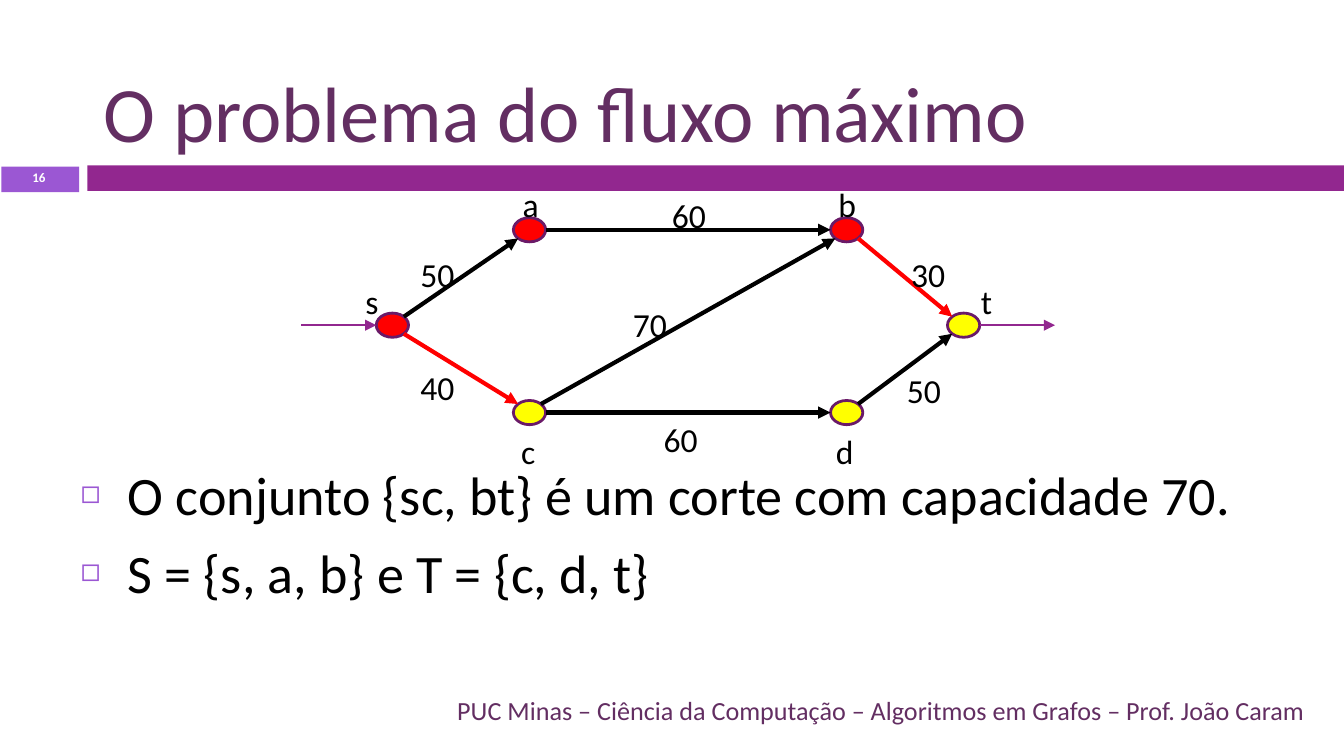
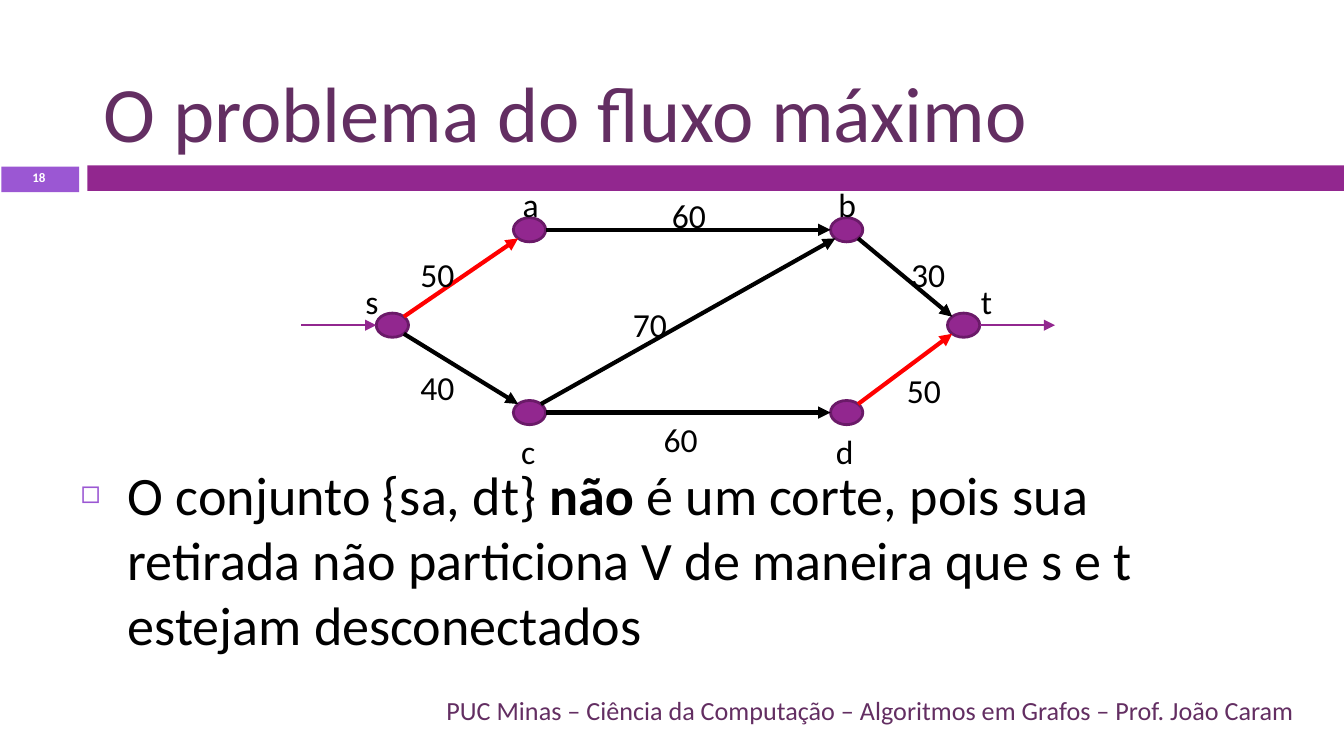
from math import atan2, cos, pi, sin

from lxml import etree
from pptx import Presentation
from pptx.dml.color import RGBColor
from pptx.enum.shapes import MSO_CONNECTOR as Connector, MSO_SHAPE as Shape
from pptx.enum.text import MSO_ANCHOR as Anchor, MSO_AUTO_SIZE as AutoSize, PP_ALIGN as Align
from pptx.oxml.ns import qn
from pptx.util import Inches, Pt

FONT = "Calibri"
BLACK, WHITE, RED, YELLOW = "000000", "FFFFFF", "FF0000", "FFFF00"
PURPLE, DARK_PURPLE, LILAC, NODE_EDGE = "92278F", "632E62", "9B57D3", "6A1A68"

TITLE = "O problema do fluxo máximo"
FOOTER = "PUC Minas – Ciência da Computação – Algoritmos em Grafos – Prof. João Caram"

NODE_W, NODE_H = 0.24, 0.18
LABEL_H = 0.4
ARROW_LENGTH = 0.56

# Vertex: centre, then left, top and width of its label
VERTICES = {
    "a": ((3.94, 1.71), (3.79, 1.32, 0.34)),
    "s": ((2.92, 2.42), (2.62, 2.04, 0.32)),
    "c": ((3.94, 3.07), (3.78, 3.16, 0.32)),
    "b": ((6.3, 1.71), (6.14, 1.32, 0.35)),
    "d": ((6.3, 3.07), (6.12, 3.16, 0.35)),
    "t": ((7.17, 2.42), (7.2, 2.04, 0.29)),
}
# Edge: capacity, then left, top and width of its label
EDGES = {
    "sa": ("50", (3.03, 1.84, 0.48)),
    "ab": ("60", (4.9, 1.4, 0.48)),
    "bt": ("30", (6.68, 1.84, 0.48)),
    "cb": ("70", (4.61, 2.21, 0.48)),
    "sc": ("40", (3.03, 2.68, 0.48)),
    "cd": ("60", (4.84, 3.07, 0.48)),
    "dt": ("50", (6.65, 2.7, 0.48)),
}


def rgb(value):
    return RGBColor.from_string(value)


def inches(*lengths):
    return [Inches(length) for length in lengths]


def edge_ends(start, end):
    """Return the facing rim points of two vertices, each at a multiple of 45 degrees."""
    (x1, y1), (x2, y2) = start, end
    angle = round(atan2(y2 - y1, x2 - x1) / (pi / 4)) * pi / 4
    dx, dy = NODE_W / 2 * cos(angle), NODE_H / 2 * sin(angle)
    return (x1 + dx, y1 + dy), (x2 - dx, y2 - dy)


class Deck:
    def __init__(self):
        self.prs = Presentation()
        self.prs.slide_width = Inches(10)
        self.prs.slide_height = Inches(10 * 9 / 16)
        self.slide = None

    def new_slide(self, number, footer_width):
        self.slide = self.prs.slides.add_slide(self.prs.slide_layouts[1])
        self.shape(Shape.RECTANGLE, (0.01, 1.24, 0.58, 0.19), LILAC)
        self.shape(Shape.RECTANGLE, (0.65, 1.23, 9.35, 0.19), PURPLE)
        self.title()
        self.text(FOOTER, (0.67, 5.13, footer_width, 0.3), 14, DARK_PURPLE, Align.RIGHT)
        page = self.text(number, (0, 1.23, 0.58, 0.2), 7, WHITE, Align.CENTER, bold=True)
        page.line_spacing = 0.7

    def run(self, paragraph, text, size, color, bold=False):
        run = paragraph.add_run()
        run.text = text
        font = run.font
        font.name, font.size, font.bold = FONT, Pt(size), bold
        font.color.rgb = rgb(color)

    def placeholder(self, holder, box, anchor):
        holder.left, holder.top, holder.width, holder.height = inches(*box)
        frame = holder.text_frame
        frame.auto_size, frame.vertical_anchor = AutoSize.NONE, anchor
        return frame

    def title(self):
        frame = self.placeholder(self.slide.shapes.title, (0.67, 0.13, 8.92, 1.1),
                                 Anchor.BOTTOM)
        paragraph = frame.paragraphs[0]
        paragraph.alignment = Align.LEFT
        self.run(paragraph, TITLE, 42, DARK_PURPLE)

    def bullets(self, items):
        """Fill the body; each item is a list of (text, bold) runs."""
        frame = self.placeholder(self.slide.placeholders[1], (0.5, 3.38, 9, 1.64),
                                 Anchor.TOP)
        for index, item in enumerate(items):
            paragraph = frame.add_paragraph() if index else frame.paragraphs[0]
            paragraph.space_before = Pt(7 if index else 0)
            props = paragraph._p.get_or_add_pPr()
            props.set("marL", str(Inches(0.35)))
            props.set("indent", str(-Inches(0.35)))
            color = etree.SubElement(props, qn("a:buClr"))
            etree.SubElement(color, qn("a:srgbClr"), val=LILAC)
            etree.SubElement(props, qn("a:buSzPct"), val="60000")
            etree.SubElement(props, qn("a:buChar"), char="◻")
            for text, bold in item:
                self.run(paragraph, text, 29, BLACK, bold)

    def text(self, text, box, size, color, align=Align.LEFT, bold=False):
        frame = self.slide.shapes.add_textbox(*inches(*box)).text_frame
        frame.word_wrap, frame.vertical_anchor = True, Anchor.MIDDLE
        paragraph = frame.paragraphs[0]
        paragraph.alignment = align
        self.run(paragraph, text, size, color, bold)
        return paragraph

    def label(self, text, place):
        frame = self.slide.shapes.add_textbox(*inches(*place, LABEL_H)).text_frame
        frame.word_wrap, frame.auto_size = False, AutoSize.SHAPE_TO_FIT_TEXT
        self.run(frame.paragraphs[0], text, 18, BLACK)

    def shape(self, kind, box, fill, outline=None):
        shape = self.slide.shapes.add_shape(kind, *inches(*box))
        shape.shadow.inherit = False
        shape.fill.solid()
        shape.fill.fore_color.rgb = rgb(fill)
        if outline:
            shape.line.color.rgb = rgb(outline)
            shape.line.width = Pt(1.5)
        else:
            shape.line.fill.background()

    def arrow(self, start, end, color, width):
        arrow = self.slide.shapes.add_connector(Connector.STRAIGHT, *inches(*start, *end))
        arrow.line.color.rgb = rgb(color)
        arrow.line.width = Pt(width)
        etree.SubElement(arrow.line._get_or_add_ln(), qn("a:tailEnd"), type="triangle")
        etree.SubElement(arrow._element.spPr, qn("a:effectLst"))

    def network(self, vertex_colors, red_edges):
        for name, ((x, y), _) in VERTICES.items():
            box = (x - NODE_W / 2, y - NODE_H / 2, NODE_W, NODE_H)
            self.shape(Shape.OVAL, box, vertex_colors[name], NODE_EDGE)
        for name in EDGES:
            ends = edge_ends(*(VERTICES[vertex][0] for vertex in name))
            self.arrow(*ends, RED if name in red_edges else BLACK, 2.25)
        (source_x, y), (sink_x, _) = VERTICES["s"][0], VERTICES["t"][0]
        for x in (source_x - NODE_W / 2 - ARROW_LENGTH, sink_x + NODE_W / 2):
            self.arrow((x, y), (x + ARROW_LENGTH, y), PURPLE, 0.79)
        for capacity, place in EDGES.values():
            self.label(capacity, place)
        for name, (_, place) in VERTICES.items():
            self.label(name, place)


def main():
    deck = Deck()

    deck.new_slide("16", 9.14)
    deck.network({**dict.fromkeys("sab", RED), **dict.fromkeys("cdt", YELLOW)}, {"sc", "bt"})
    deck.bullets([
        [("O conjunto {sc, bt} é um corte com capacidade 70.", False)],
        [("S = {s, a, b} e T = {c, d, t}", False)],
    ])

    deck.new_slide("18", 9.06)
    deck.network(dict.fromkeys(VERTICES, PURPLE), {"sa", "dt"})
    deck.bullets([[
        ("O conjunto {sa, dt} ", False),
        ("não", True),
        (" é um corte, pois sua retirada não particiona V de maneira "
         "que s e t estejam desconectados", False),
    ]])

    deck.prs.save("out.pptx")


if __name__ == "__main__":
    main()
